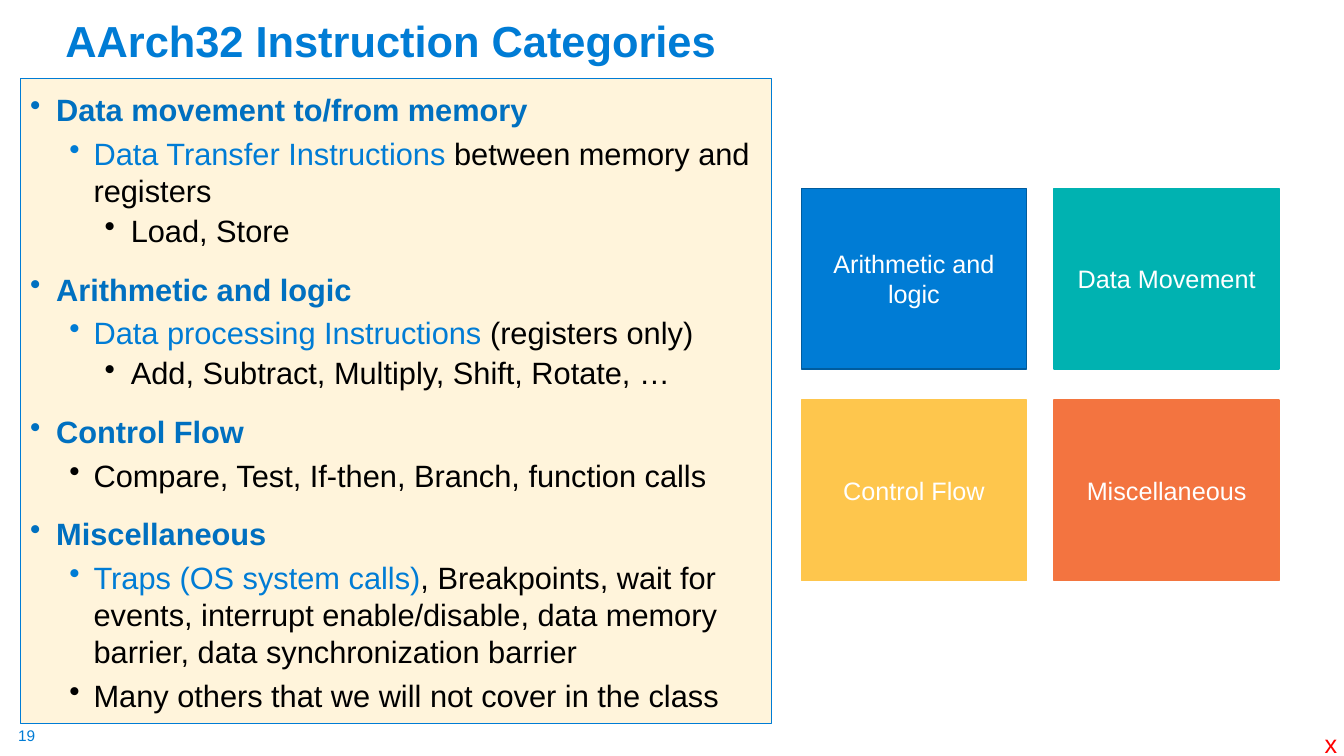
import pptx
import pptx.util
import pptx.dml.color
import pptx.enum.shapes
import pptx.enum.text
import pptx.oxml.ns
from lxml import etree

Pt = pptx.util.Pt
Align = pptx.enum.text.PP_ALIGN
Anchor = pptx.enum.text.MSO_ANCHOR

BLUE, HEADING, BLACK, WHITE = "007CD5", "0070C0", "000000", "FFFFFF"


def color(value):
    return pptx.dml.color.RGBColor.from_string(value)


class Page:
    font = "Arial"
    # level: left margin, hanging indent, line spacing, space before
    levels = [(18.7, 18.7, 1.2, 10), (45.4, 17.3, 1.0, 5), (72, 18.7, 0.9, 5)]

    def __init__(self, deck):
        self.shapes = deck.slides.add_slide(deck.slide_layouts[6]).shapes

    def style(self, para, size, ink, bold=False):
        para.font.name = self.font
        para.font.size = Pt(size)
        para.font.bold = bold
        para.font.color.rgb = color(ink)

    def text(self, words, left, top, width, height, size, ink,
             bold=False, wrap=False, margin=None, anchor=Anchor.TOP, spacing=1.0):
        box = self.shapes.add_textbox(Pt(left), Pt(top), Pt(width), Pt(height))
        frame = box.text_frame
        frame.word_wrap = wrap
        frame.vertical_anchor = anchor
        if margin is not None:
            frame.margin_left = frame.margin_right = Pt(margin)
            frame.margin_top = frame.margin_bottom = Pt(margin)
        para = frame.paragraphs[0]
        para.text = words
        para.line_spacing = spacing
        self.style(para, size, ink, bold)

    def panel(self, left, top, width, height, fill, line, weight):
        box = self.shapes.add_shape(pptx.enum.shapes.MSO_SHAPE.RECTANGLE,
                                    Pt(left), Pt(top), Pt(width), Pt(height))
        box.shadow.inherit = False
        box.fill.solid()
        box.fill.fore_color.rgb = color(fill)
        box.line.color.rgb = color(line)
        box.line.width = Pt(weight)
        box.text_frame.word_wrap = True
        return box.text_frame

    def tile(self, words, left, top, width, height, fill, line):
        frame = self.panel(left, top, width, height, fill, line, 1)
        frame.vertical_anchor = Anchor.MIDDLE
        para = frame.paragraphs[0]
        para.text = words
        para.alignment = Align.CENTER
        self.style(para, 18, WHITE)

    def bullets(self, frame, items, size):
        frame.vertical_anchor = Anchor.TOP
        for number, (level, lead, rest) in enumerate(items):
            para = frame.paragraphs[0] if number == 0 else frame.add_paragraph()
            margin, hang, spacing, before = self.levels[level]
            para.alignment = Align.LEFT
            para.level = level
            para.line_spacing = spacing
            para.space_before = Pt(before if number else 0)
            props = para._p.get_or_add_pPr()
            props.set("marL", str(Pt(margin)))
            props.set("indent", str(-Pt(hang)))
            mark = etree.SubElement(props, pptx.oxml.ns.qn("a:buChar"))
            mark.set("char", "•")
            self.style(para, size, HEADING if level == 0 else BLACK, level == 0)
            if lead:
                span = para.add_run()
                span.text = lead
                span.font.color.rgb = color(BLUE)
            para.add_run().text = rest


def main():
    deck = pptx.Presentation()
    deck.slide_width, deck.slide_height = Pt(960), Pt(540)
    page = Page(deck)

    # Page number and title
    page.text("19", 13, 519, 14, 14, 11, BLUE, margin=0)
    page.text("AArch32 Instruction Categories", 39.6, 9.4, 828, 41.8, 31, BLUE,
              bold=True, wrap=True, anchor=Anchor.BOTTOM, spacing=0.9)

    # Category list: level, blue lead-in, remaining words
    frame = page.panel(14.4, 56, 537, 461, "FFF4DB", BLUE, 0.75)
    page.bullets(frame, [
        (0, "", "Data movement to/from memory"),
        (1, "Data Transfer Instructions ", "between memory and registers"),
        (2, "", "Load, Store"),
        (0, "", "Arithmetic and logic"),
        (1, "Data processing Instructions ", "(registers only)"),
        (2, "", "Add, Subtract, Multiply, Shift, Rotate, …"),
        (0, "", "Control Flow"),
        (1, "", "Compare, Test, If-then, Branch, function calls"),
        (0, "", "Miscellaneous"),
        (1, "Traps (OS system calls)",
         ", Breakpoints, wait for events, interrupt enable/disable, "
         "data memory barrier, data synchronization barrier"),
        (1, "", "Many others that we will not cover in the class"),
    ], 22)

    # Two-by-two grid of category tiles
    tiles = [
        ("Arithmetic and logic", BLUE, "005C9E"),
        ("Data Movement", "00B2B1", "00B2B1"),
        ("Control Flow", "FEC64D", "FEC64D"),
        ("Miscellaneous", "F37440", "F3753F"),
    ]
    for number, (words, fill, line) in enumerate(tiles):
        row, column = divmod(number, 2)
        page.tile(words, 572.4 + 180.5 * column, 134.6 + 151.2 * row,
                  160.8, 129, fill, line)

    # Corner mark
    page.text("x", 939, 517, 23.5, 29, 18, "FF0000")

    deck.save("out.pptx")


if __name__ == "__main__":
    main()
